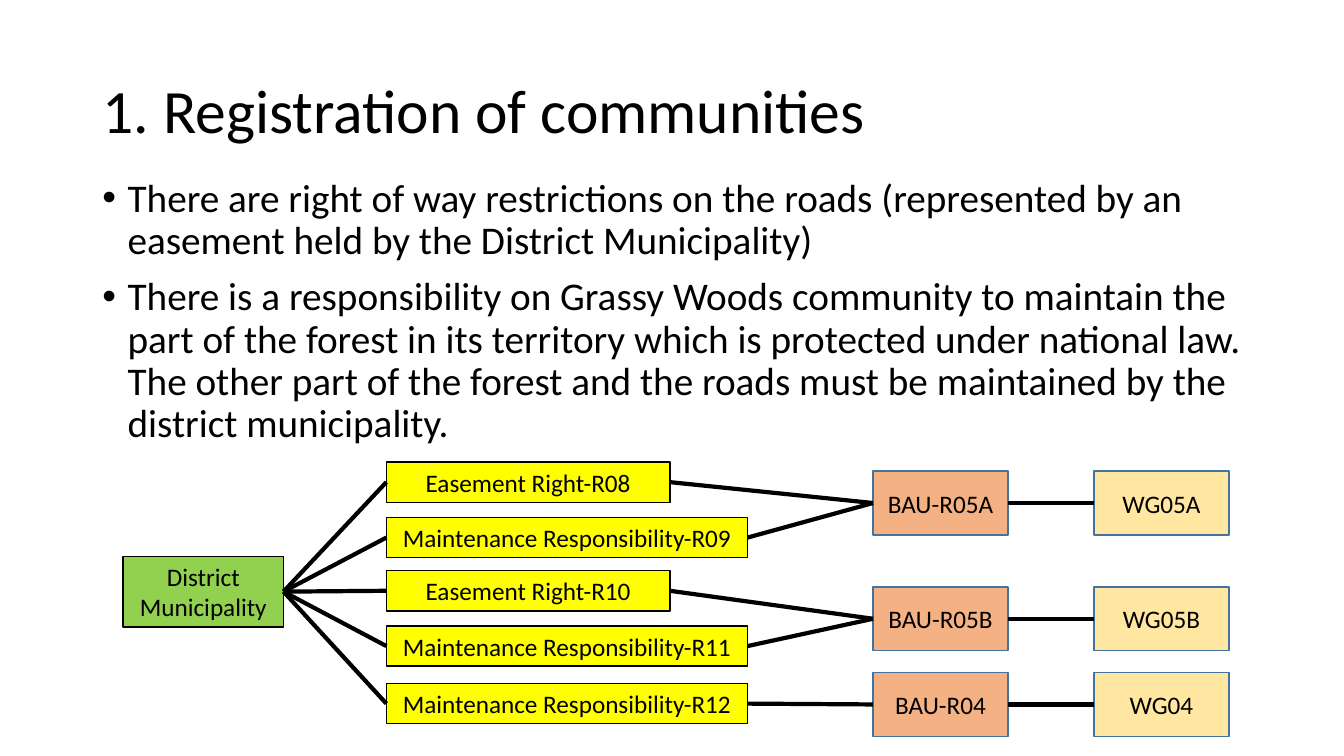
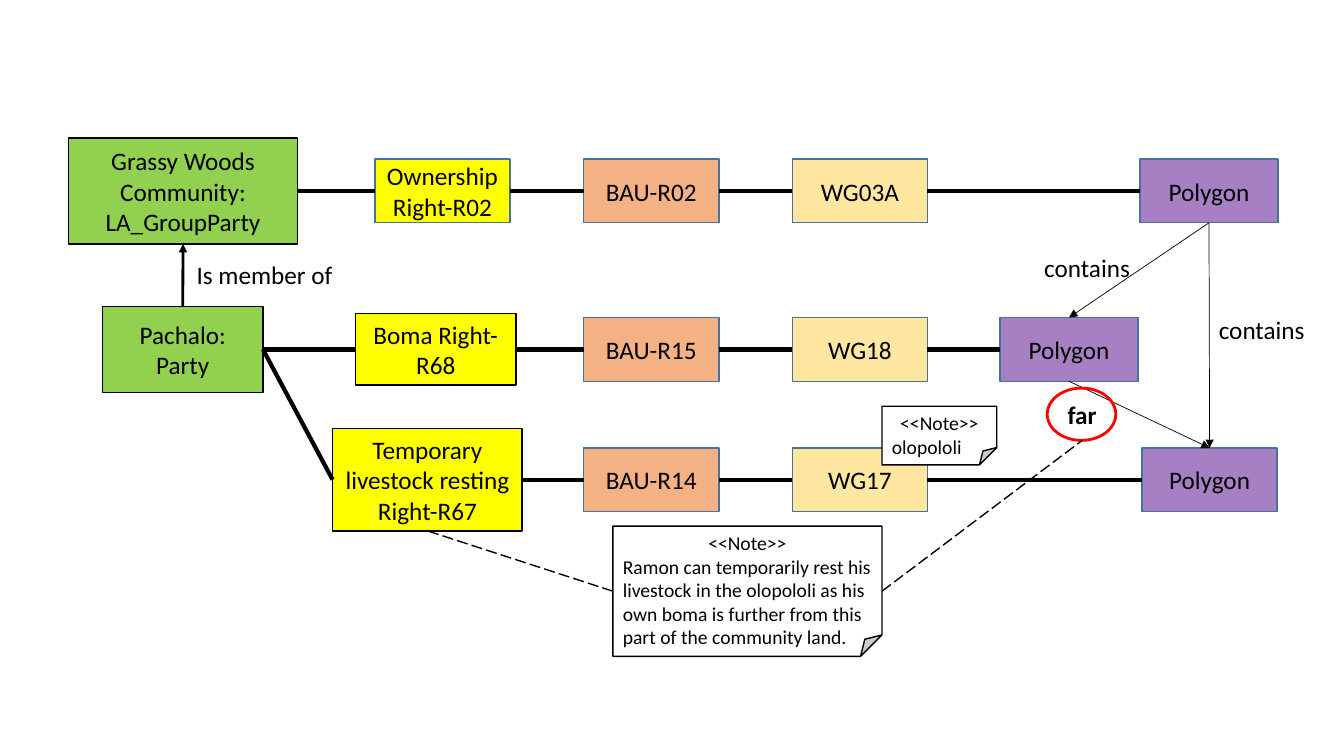
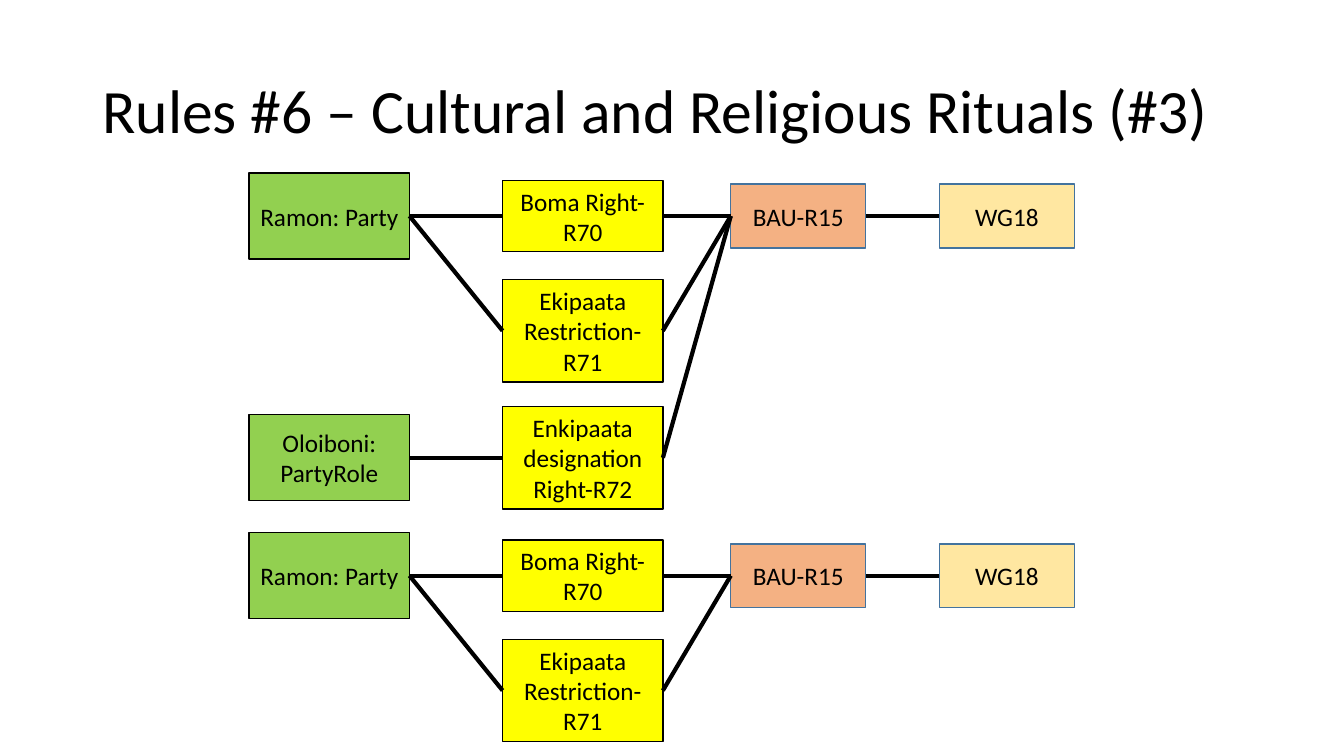
"""Build three slides of land administration instance diagrams."""
from lxml import etree
from pptx import Presentation
from pptx.dml.color import RGBColor
from pptx.enum import dml, shapes, text
from pptx.oxml.ns import qn
from pptx.util import Pt

FONT = "Calibri"
COLOURS = {
    "black": "000000", "white": "FFFFFF", "edge": "43739E", "red": "FF0000",
    "party": "92D050", "right": "FFFF00", "unit": "F4B183",
    "spatial": "FFD966", "polygon": "7030A0",
}
NODE_SIZES = {
    "party": (114.5, 61.4), "right": (114.5, 51), "unit": (96.5, 45.5),
    "spatial": (96.5, 45.5), "polygon": (98.6, 45.5),
}
TRANSLUCENT = {"spatial": "61000", "polygon": "61000"}
EDGED = ("unit", "spatial", "polygon")
TOP, LEFT, BOTTOM, RIGHT = range(4)


def colour(name):
    """Return the named colour."""
    return RGBColor.from_string(COLOURS[name])


def style_font(paragraph, size, bold=None):
    """Give a paragraph the shared typeface in black."""
    paragraph.font.name = FONT
    paragraph.font.size = Pt(size)
    paragraph.font.bold = bold
    paragraph.font.color.rgb = colour("black")


def place(shape, left, top, width, height):
    """Move and size a shape."""
    shape.left, shape.top = Pt(left), Pt(top)
    shape.width, shape.height = Pt(width), Pt(height)


def add_outline(slide, preset, box, fill, line, weight=1):
    """Add a flat preset shape, unfilled when fill is None."""
    shape = slide.shapes.add_shape(preset, *map(Pt, box))
    shape.shadow.inherit = False
    if fill:
        shape.fill.solid()
        shape.fill.fore_color.rgb = colour(fill)
    else:
        shape.fill.background()
    shape.line.color.rgb = colour(line)
    shape.line.width = Pt(weight)
    return shape


def add_node(slide, kind, label, left, middle, width=None, height=None, line=None):
    """Add a labelled box of one kind, centred vertically on middle."""
    width = width or NODE_SIZES[kind][0]
    height = height or NODE_SIZES[kind][1]
    line = line or ("edge" if kind in EDGED else "black")
    box = (left, middle - height / 2, width, height)
    shape = add_outline(slide, shapes.MSO_SHAPE.RECTANGLE, box, kind, line)
    if kind in TRANSLUCENT:
        fill = shape._element.spPr.find(qn("a:solidFill"))
        etree.SubElement(fill[0], qn("a:alpha"), val=TRANSLUCENT[kind])
    frame = shape.text_frame
    frame.word_wrap = True
    frame.vertical_anchor = text.MSO_ANCHOR.MIDDLE
    paragraph = frame.paragraphs[0]
    paragraph.text = label
    paragraph.alignment = text.PP_ALIGN.CENTER
    style_font(paragraph, 18)
    return shape


def join(slide, start, end, sides=(RIGHT, LEFT), weight=3, arrow=False, dashed=False):
    """Connect two shapes with a straight line between the given sides."""
    connector = slide.shapes.add_connector(shapes.MSO_CONNECTOR.STRAIGHT, 0, 0, 0, 0)
    connector.begin_connect(start, sides[0])
    connector.end_connect(end, sides[1])
    connector.line.color.rgb = colour("black")
    connector.line.width = Pt(weight)
    if dashed:
        connector.line.dash_style = dml.MSO_LINE.LONG_DASH
    properties = connector._element.spPr
    if arrow:
        etree.SubElement(properties.find(qn("a:ln")), qn("a:tailEnd"), type="triangle")
    etree.SubElement(properties, qn("a:effectLst"))


def add_label(slide, label, left, top, width, height=28.8, bold=None):
    """Add a single-line unwrapped label."""
    shape = slide.shapes.add_textbox(*map(Pt, (left, top, width, height)))
    shape.text_frame.word_wrap = False
    paragraph = shape.text_frame.paragraphs[0]
    paragraph.text = label
    style_font(paragraph, 18, bold)
    return shape


def add_note(slide, body, box, fold):
    """Add a folded-corner note with a centred stereotype line."""
    shape = add_outline(slide, shapes.MSO_SHAPE.FOLDED_CORNER, box, "white", "black")
    geometry = shape._element.spPr.find(qn("a:prstGeom"))
    guides = geometry.find(qn("a:avLst"))
    if guides is None:
        guides = etree.SubElement(geometry, qn("a:avLst"))
    etree.SubElement(guides, qn("a:gd"), name="adj", fmla=f"val {round(fold * 100000)}")
    frame = shape.text_frame
    frame.word_wrap = True
    frame.vertical_anchor = text.MSO_ANCHOR.TOP
    frame.text = f"<<Note>>\n{body}"
    alignments = (text.PP_ALIGN.CENTER, text.PP_ALIGN.LEFT)
    for paragraph, alignment in zip(frame.paragraphs, alignments):
        paragraph.alignment = alignment
        style_font(paragraph, 14)
    return shape


def set_title(slide, title):
    """Fill and place the title placeholder."""
    shape = slide.shapes.title
    place(shape, 66, 28.8, 828, 104.4)
    frame = shape.text_frame
    frame.text = title
    frame.auto_size = text.MSO_AUTO_SIZE.NONE
    frame.vertical_anchor = text.MSO_ANCHOR.MIDDLE
    paragraph = frame.paragraphs[0]
    paragraph.alignment = text.PP_ALIGN.LEFT
    paragraph.line_spacing = 0.9
    style_font(paragraph, 44)


def set_bullets(slide, items):
    """Fill and place the bulleted body placeholder."""
    shape = slide.placeholders[1]
    place(shape, 66, 123.8, 828, 342.7)
    frame = shape.text_frame
    frame.text = "\n".join(items)
    frame.auto_size = text.MSO_AUTO_SIZE.NONE
    for index, paragraph in enumerate(frame.paragraphs):
        properties = paragraph._p.get_or_add_pPr()
        properties.set("marL", str(Pt(18)))
        properties.set("indent", str(-Pt(18)))
        paragraph.line_spacing = 0.9
        paragraph.space_before = Pt(10 if index else 0)
        style_font(paragraph, 28)


def draw_municipality(slide, left, top):
    """Draw the municipality's rights over three administrative units."""
    municipality = add_node(slide, "party", "District Municipality", left, top + 92.6, height=50.4)
    units = {}
    for code, middle in (("05A", 29.3), ("05B", 112), ("04", 173.2)):
        unit = add_node(slide, "unit", f"BAU-R{code}", left + 535.6, top + middle)
        join(slide, unit, add_node(slide, "spatial", f"WG{code}", left + 693.4, top + middle))
        units[code] = unit
    easement, maintenance = ("Easement Right", 202.5), ("Maintenance Responsibility", 258)
    rights = (
        (easement, "R08", 14.4, "05A"), (maintenance, "R09", 54, "05A"),
        (easement, "R10", 92, "05B"), (maintenance, "R11", 131.5, "05B"),
        (maintenance, "R12", 172.6, "04"),
    )
    for (name, width), number, middle, code in rights:
        right = add_node(slide, "right", f"{name}-{number}", left + 188, top + middle, width, 28.8)
        join(slide, municipality, right)
        join(slide, right, units[code])


def draw_territory_row(slide, middle, party, right, codes, polygon):
    """Draw one chain from a party through its right to a polygon."""
    unit = add_node(slide, "unit", codes[0], 417, middle)
    spatial = add_node(slide, "spatial", codes[1], 566, middle)
    chain = (party, right, unit, spatial, polygon)
    for start, end in zip(chain, chain[1:]):
        join(slide, start, end)


def draw_community(slide):
    """Draw the community, its member and their rights with notes."""
    first, second, third = 136.4, 249.6, 342.7
    community = add_node(slide, "party", "Grassy Woods Community: LA_GroupParty", 49, first, 163.5, 75.6)
    member = add_node(slide, "party", "Pachalo: Party", 73.3, second)
    ownership = add_node(slide, "right", "Ownership Right-R02", 267.8, first, 96.5, 45.5, "edge")
    boma = add_node(slide, "right", "Boma Right-R68", 254, second)
    resting = add_node(slide, "right", "Temporary livestock resting Right-R67", 237.6, third, 135.4, 73)
    outer = add_node(slide, "polygon", "Polygon", 814.3, first)
    near = add_node(slide, "polygon", "Polygon", 714.3, second)
    distant = add_node(slide, "polygon", "Polygon", 815.8, third, 96.5)
    draw_territory_row(slide, first, community, ownership, ("BAU-R02", "WG03A"), outer)
    draw_territory_row(slide, second, member, boma, ("BAU-R15", "WG18"), near)
    draw_territory_row(slide, third, member, resting, ("BAU-R14", "WG17"), distant)
    join(slide, member, community, (TOP, BOTTOM), 2, arrow=True)
    for start, end in ((outer, near), (outer, distant), (near, distant)):
        join(slide, start, end, (BOTTOM, TOP), 0.5, arrow=True)
    add_label(slide, "Is member of", 133.4, 182, 113)
    add_label(slide, "contains", 738.7, 177, 76)
    add_label(slide, "contains", 863.5, 221, 76)
    far = add_label(slide, "far", 755.5, 281.6, 35, 33, True)
    add_outline(slide, shapes.MSO_SHAPE.OVAL, (748, 277.2, 49, 37.4), None, "red", 2)
    add_note(slide, "olopololi", (630, 290.2, 82, 41.8), 0.295)
    resting_note = add_note(
        slide,
        "Ramon can temporarily rest his livestock in the olopololi as his own boma "
        "is further from this part of the community land.",
        (437.8, 375.8, 192.2, 93), 0.164)
    join(slide, resting_note, far, (RIGHT, BOTTOM), 1, dashed=True)
    join(slide, resting_note, resting, (LEFT, BOTTOM), 1, dashed=True)


def draw_ritual(slide, left, top):
    """Draw Ramon's right and restriction, and return their unit."""
    middle = top + 31
    ramon = add_node(slide, "party", "Ramon: Party", left, middle)
    boma = add_node(slide, "right", "Boma Right-R70", left + 181, middle)
    restriction = add_node(slide, "right", "Ekipaata Restriction-R71", left + 181, top + 113, height=73)
    unit = add_node(slide, "unit", "BAU-R15", left + 344, middle)
    join(slide, unit, add_node(slide, "spatial", "WG18", left + 493, middle))
    for right in (boma, restriction):
        join(slide, ramon, right)
        join(slide, right, unit)
    return unit


def draw_designation(slide, left, middle, unit):
    """Draw the ritual leader's designation right over a unit."""
    leader = add_node(slide, "party", "Oloiboni: PartyRole", left, middle)
    right = add_node(slide, "right", "Enkipaata designation Right-R72", left + 181, middle, height=73)
    join(slide, leader, right)
    join(slide, right, unit)


def main():
    """Build and save the presentation."""
    presentation = Presentation()
    presentation.slide_width, presentation.slide_height = Pt(960), Pt(540)
    layouts = presentation.slide_layouts

    slide = presentation.slides.add_slide(layouts.get_by_name("Title and Content"))
    set_title(slide, "1. Registration of communities")
    set_bullets(slide, (
        "There are right of way restrictions on the roads (represented by an easement "
        "held by the District Municipality)",
        "There is a responsibility on Grassy Woods community to maintain the part of the "
        "forest in its territory which is protected under national law. The other part of "
        "the forest and the roads must be maintained by the district municipality.",
    ))
    draw_municipality(slide, 88, 330)

    draw_community(presentation.slides.add_slide(layouts.get_by_name("Blank")))

    slide = presentation.slides.add_slide(layouts.get_by_name("Title Only"))
    set_title(slide, "Rules #6 – Cultural and Religious Rituals (#3)")
    unit = draw_ritual(slide, 178, 123.3)
    draw_designation(slide, 178, 327, unit)
    draw_ritual(slide, 178, 380.2)

    presentation.save("out.pptx")


if __name__ == "__main__":
    main()
